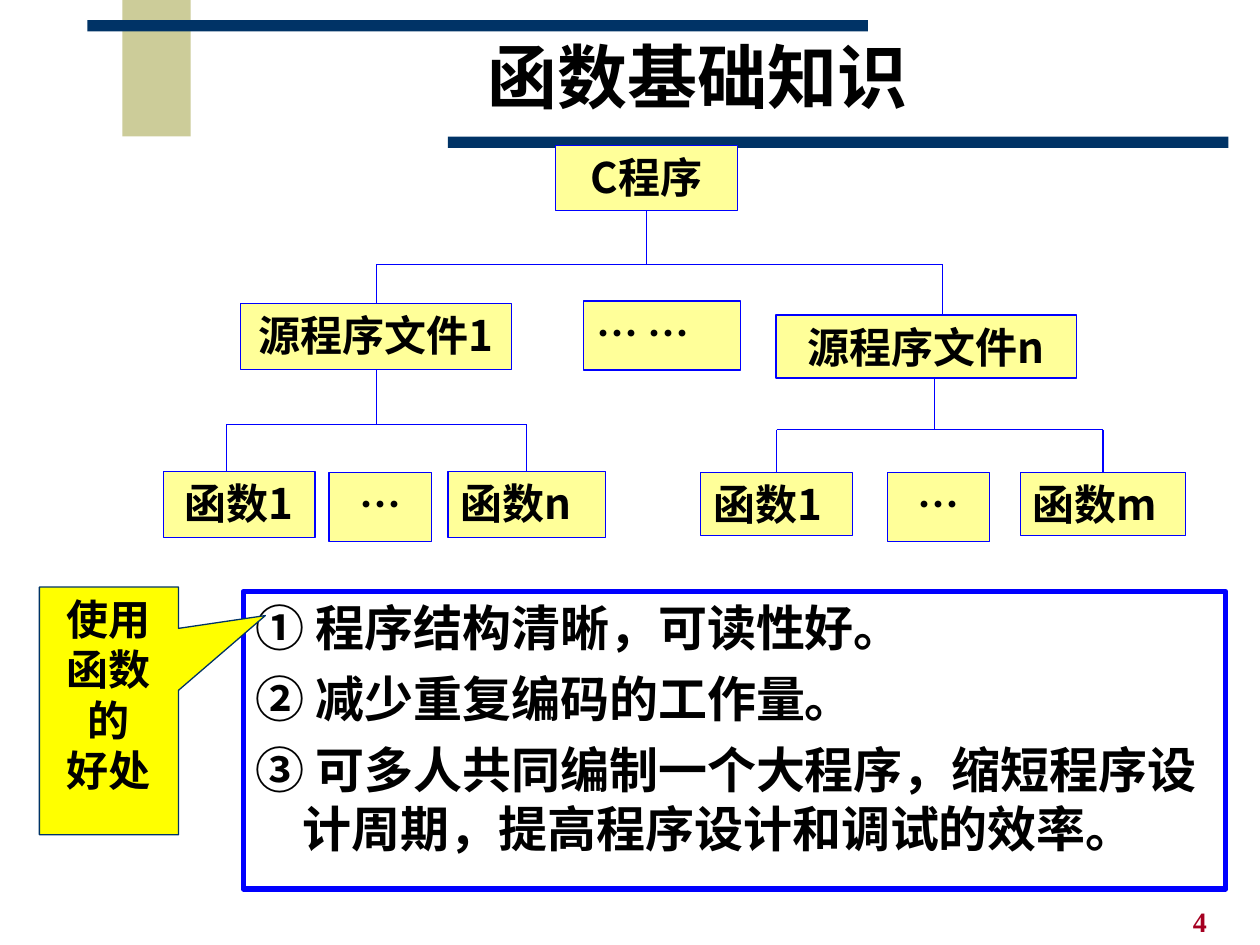
"""Build the slide on C program structure and the benefits of functions."""
from lxml import etree
from pptx import Presentation
from pptx.dml.color import RGBColor
from pptx.enum.shapes import MSO_CONNECTOR, MSO_SHAPE
from pptx.enum.text import MSO_ANCHOR, PP_ALIGN
from pptx.oxml.ns import qn
from pptx.util import Pt

RECTANGLE = MSO_SHAPE.RECTANGLE
CALLOUT = MSO_SHAPE.RECTANGULAR_CALLOUT
STRAIGHT = MSO_CONNECTOR.STRAIGHT
TOP, MIDDLE = MSO_ANCHOR.TOP, MSO_ANCHOR.MIDDLE
LEFT, CENTER, JUSTIFY = PP_ALIGN.LEFT, PP_ALIGN.CENTER, PP_ALIGN.JUSTIFY
TOP_SITE, BOTTOM_SITE = 0, 2
TITLE_ONLY = 5
SANS, SERIF = "Noto Sans CJK SC", "Times New Roman"
COLORS = {
    "navy": "003366", "khaki": "CCCC99", "blue": "0000FF", "cream": "FFFF99",
    "yellow": "FFFF00", "black": "000000", "crimson": "A50021",
}


def rgb(color):
    return RGBColor.from_string(COLORS[color])


def write(frame, text, size=24, font=SANS, color="black", align=CENTER,
          anchor=TOP, gap=0, hanging=0, line_spacing=None):
    frame.word_wrap = True
    frame.vertical_anchor = anchor
    frame.text = text
    for index, paragraph in enumerate(frame.paragraphs):
        paragraph.alignment = align
        paragraph.space_before = Pt(gap if index else 0)
        paragraph.line_spacing = line_spacing
        if hanging:
            properties = paragraph._p.get_or_add_pPr()
            properties.set("marL", str(Pt(hanging)))
            properties.set("indent", str(-Pt(hanging)))
        for run in paragraph.runs:
            run.font.name = font
            run.font.size = Pt(size)
            run.font.bold = True
            run.font.color.rgb = rgb(color)
            east_asian = etree.SubElement(run._r.get_or_add_rPr(), qn("a:ea"))
            east_asian.set("typeface", SANS)


class Deck:
    def __init__(self, width, height):
        self.presentation = Presentation()
        self.presentation.slide_width = Pt(width)
        self.presentation.slide_height = Pt(height)
        self.slide = None

    def add_slide(self):
        layout = self.presentation.slide_layouts[TITLE_ONLY]
        self.slide = self.presentation.slides.add_slide(layout)

    def title(self, text, x, y, width, height, **style):
        heading = self.slide.shapes.title
        heading.left, heading.top = Pt(x), Pt(y)
        heading.width, heading.height = Pt(width), Pt(height)
        write(heading.text_frame, text, **style)

    def label(self, text, x, y, width, height, **style):
        box = self.slide.shapes.add_textbox(Pt(x), Pt(y), Pt(width), Pt(height))
        write(box.text_frame, text, **style)

    def box(self, x, y, width, height, text="", kind=RECTANGLE, fill=None,
            line=None, weight=0.75, **style):
        shape = self.slide.shapes.add_shape(
            kind, Pt(x), Pt(y), Pt(width), Pt(height))
        shape.shadow.inherit = False
        if fill:
            shape.fill.solid()
            shape.fill.fore_color.rgb = rgb(fill)
        else:
            shape.fill.background()
        if line:
            shape.line.color.rgb = rgb(line)
            shape.line.width = Pt(weight)
        else:
            shape.line.fill.background()
        if text:
            write(shape.text_frame, text, **style)
        return shape

    def node(self, text, x, y, width, height, align=CENTER):
        return self.box(x, y, width, height, text, fill="cream", line="blue",
                        align=align)

    def link(self, start, end, parent=None, child=None):
        line = self.slide.shapes.add_connector(
            STRAIGHT, Pt(start[0]), Pt(start[1]), Pt(end[0]), Pt(end[1]))
        if parent:
            line.begin_connect(parent, BOTTOM_SITE)
        if child:
            line.end_connect(child, TOP_SITE)
        line.line.color.rgb = rgb("blue")
        line.line.width = Pt(0.75)
        etree.SubElement(line._element.spPr, qn("a:effectLst"))

    def branch(self, trunk_x, trunk_y, bus_y, drops, parent=None):
        self.link((trunk_x, trunk_y), (trunk_x, bus_y), parent=parent)
        self.link((drops[0][0], bus_y), (drops[-1][0], bus_y))
        for x, y, child in drops:
            self.link((x, bus_y), (x, y), child=child)


def main():
    deck = Deck(720, 540)
    deck.add_slide()

    deck.box(70, 0, 39, 78, fill="khaki")
    for x, y in ((50, 11.5), (256, 78)):
        deck.box(x, y, 446, 6.5, fill="navy")
    deck.title("函数基础知识", 108, 18, 581, 57.5, size=40, font=SERIF,
               anchor=MIDDLE, line_spacing=0.85)
    deck.label("4", 674.5, 513.5, 45.5, 26.5, size=16, font=SERIF,
               color="crimson", align=LEFT)

    benefits = (
        "① 程序结构清晰，可读性好。",
        "② 减少重复编码的工作量。",
        "③ 可多人共同编制一个大程序，缩短程序设计周期，提高程序设计和调试的效率。",
    )
    deck.box(139, 338, 561.5, 170, "\n".join(benefits), line="blue", weight=3,
             size=28, align=LEFT, gap=7, hanging=27)
    callout = deck.box(22.5, 335.5, 79.5, 141.5, "使用函数的\n好处",
                       kind=CALLOUT, fill="yellow", line="navy", font=SERIF)
    callout.adjustments[0], callout.adjustments[1] = 1.124, -0.385

    program = deck.node("C程序", 317.5, 83, 104, 37.5)
    first_file = deck.node("源程序文件1", 137.5, 173.5, 155, 37.5)
    deck.node("… …", 333.5, 172, 89.5, 39.5, JUSTIFY)
    deck.node("源程序文件n", 443.5, 180, 171.5, 36)
    deck.node("函数1", 93.5, 269.5, 86.5, 37.5)
    function_n = deck.node("函数n", 256, 269.5, 90, 37.5, JUSTIFY)
    last_function_1 = deck.node("函数1", 400.5, 270, 86.5, 36, JUSTIFY)
    function_m = deck.node("函数m", 583, 270, 94.5, 36, JUSTIFY)
    for x in (188, 507):
        deck.node("…", x, 270, 58.5, 39.5)

    deck.branch(369.5, 120.5, 151,
                ((215, 173.5, first_file), (538.5, 180, None)), program)
    deck.branch(215, 211, 242.5,
                ((129.5, 269.5, None), (301, 269.5, function_n)), first_file)
    deck.branch(534, 216, 245.5,
                ((443.75, 270, last_function_1), (630.25, 270, function_m)))

    deck.presentation.save("out.pptx")


if __name__ == "__main__":
    main()
